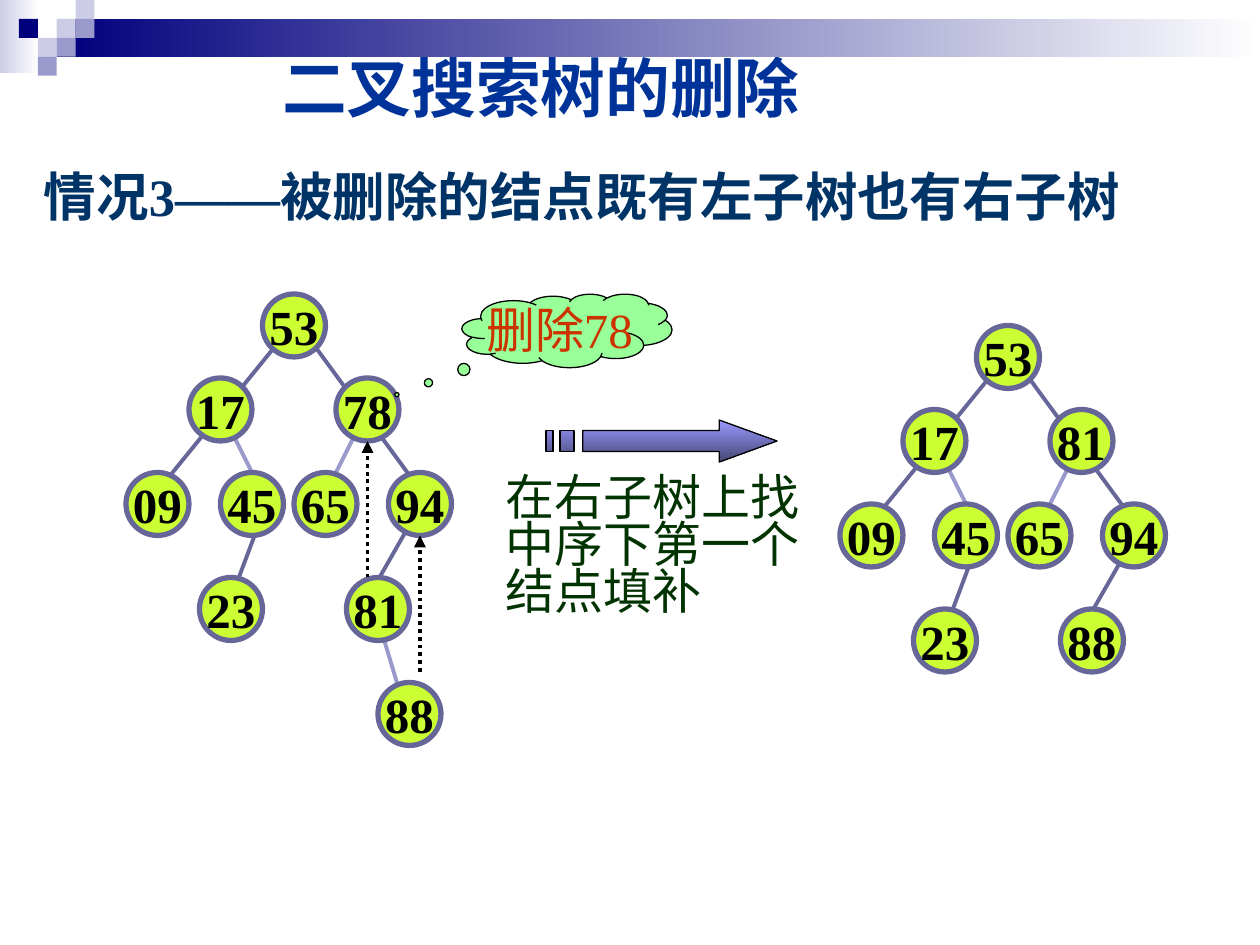
from lxml.etree import SubElement
from pptx import Presentation
from pptx.dml.color import RGBColor
from pptx.enum.dml import MSO_LINE
from pptx.enum.shapes import MSO_CONNECTOR, MSO_SHAPE
from pptx.enum.text import MSO_ANCHOR, MSO_AUTO_SIZE, PP_ALIGN
from pptx.oxml.ns import qn
from pptx.util import Pt

FONT = "Times New Roman"
COLORS = {
    "navy": "00007D", "pale": "CCCCE6", "lilac": "9999CC", "white": "FFFFFF",
    "title": "003399", "heading": "003366", "edge": "666699", "node": "CCFF33",
    "cloud": "99FF99", "deletion": "CC3300", "advice": "003300",
    "arrow_top": "9999FF", "arrow_base": "474776", "black": "000000",
}
NODE_SIZE = 36

# Node corners and edge ends, in points from the corner of a tree's box.
SHARED_SPOTS = {"53": (78, 0), "17": (36, 48), "09": (0, 102), "45": (54, 102),
                "65": (96, 102), "94": (150, 102), "23": (42, 162)}
BEFORE_SPOTS = SHARED_SPOTS | {"78": (120, 48), "81": (126, 162), "88": (144, 222)}
AFTER_SPOTS = SHARED_SPOTS | {"81": (120, 48), "88": (126, 162)}
SHARED_EDGES = [
    ((132, 78), (114, 114), "lilac"), ((78, 126), (60, 174), "edge"),
    ((60, 78), (78, 114), "lilac"), ((90, 24), (12, 120), "edge"),
    ((162, 132), (138, 174), "edge"), ((108, 30), (174, 120), "edge"),
]
BEFORE_EDGES = SHARED_EDGES + [((144, 186), (162, 246), "lilac")]


def rgb(name):
    return RGBColor.from_string(COLORS[name])


def paint_gradient(shape, start, end, angle):
    shape.fill.gradient()
    shape.fill.gradient_angle = angle
    for stop, color in zip(shape.fill.gradient_stops, (start, end)):
        stop.color.rgb = rgb(color)


def add_preset(slide, preset, left, top, width, height, fill=None, line=None, weight=0.75):
    shape = slide.shapes.add_shape(preset, Pt(left), Pt(top), Pt(width), Pt(height))
    shape.shadow.inherit = False
    if fill:
        shape.fill.solid()
        shape.fill.fore_color.rgb = rgb(fill)
    if line:
        shape.line.color.rgb = rgb(line)
        shape.line.width = Pt(weight)
    else:
        shape.line.fill.background()
    return shape


def write(shape, text, size, color, bold=False, align=PP_ALIGN.LEFT,
          anchor=MSO_ANCHOR.TOP, wrap=True):
    frame = shape.text_frame
    frame.word_wrap = wrap
    frame.vertical_anchor = anchor
    paragraph = frame.paragraphs[0]
    paragraph.alignment = align
    run = paragraph.add_run()
    run.text = text
    run.font.name = FONT
    run.font.size = Pt(size)
    run.font.bold = bold
    run.font.color.rgb = rgb(color)
    return paragraph


def write_centred(shape, text, color, bold=False):
    write(shape, text, 28, color, bold, PP_ALIGN.CENTER, MSO_ANCHOR.MIDDLE, wrap=False)


def add_text(slide, left, top, width, height, text, size, color, bold=False):
    box = slide.shapes.add_textbox(Pt(left), Pt(top), Pt(width), Pt(height))
    paragraph = write(box, text, size, color, bold)
    box.text_frame.auto_size = MSO_AUTO_SIZE.SHAPE_TO_FIT_TEXT
    return paragraph


def add_line(slide, start, end, color):
    line = slide.shapes.add_connector(MSO_CONNECTOR.STRAIGHT, *map(Pt, start + end))
    line.line.color.rgb = rgb(color)
    line.line.width = Pt(2.25)
    SubElement(line._element.spPr, qn("a:effectLst"))
    return line


def add_banner(slide, left, top, width):
    """Gradient band with a checkered corner, on a square grid."""
    unit = 10.8
    corner = add_preset(slide, MSO_SHAPE.RECTANGLE, left, top, 22, 42)
    paint_gradient(corner, "pale", "white", 0)
    band_left = left + 3 * unit
    band = add_preset(slide, MSO_SHAPE.RECTANGLE, band_left, top + unit,
                      left + width - band_left, 2 * unit)
    paint_gradient(band, "navy", "white", 0)
    for column, row, color in [(3, 1, "pale"), (4, 0, "pale"), (4, 1, "lilac"),
                               (2, 2, "pale"), (1, 1, "navy"), (3, 2, "lilac"),
                               (2, 3, "lilac")]:
        add_preset(slide, MSO_SHAPE.RECTANGLE, left + column * unit,
                   top + row * unit, unit, unit, color)


def place_title(slide, left, top, width, height):
    title = slide.shapes.title
    title.left, title.top, title.width, title.height = map(Pt, (left, top, width, height))
    paragraph = write(title, "二叉搜索树的删除", 37, "title", True, anchor=MSO_ANCHOR.MIDDLE)
    paragraph.line_spacing = 0.9
    title.text_frame.auto_size = MSO_AUTO_SIZE.NONE


def add_tree(slide, left, top, spots, edges):
    for (x1, y1), (x2, y2), color in edges:
        add_line(slide, (left + x1, top + y1), (left + x2, top + y2), color)
    for key, (x, y) in spots.items():
        node = add_preset(slide, MSO_SHAPE.OVAL, left + x, top + y,
                          NODE_SIZE, NODE_SIZE, "node", "edge", 3)
        write_centred(node, key, "black", True)


def add_moves(slide, left, top, targets):
    """Dotted arrows rising to the bottom of each target node."""
    for key in targets:
        x, y = BEFORE_SPOTS[key]
        tip = (left + x + NODE_SIZE / 2, top + y + NODE_SIZE)
        move = add_line(slide, (tip[0], tip[1] + 78), tip, "black")
        move.line.dash_style = MSO_LINE.ROUND_DOT
        SubElement(move.line._get_or_add_ln(), qn("a:tailEnd"), type="triangle")


def add_deletion_cloud(slide, left, top, width, height):
    cloud = add_preset(slide, MSO_SHAPE.CLOUD_CALLOUT, left, top, width, height,
                       "cloud", "black")
    cloud.adjustments[0], cloud.adjustments[1] = -0.81, 0.87
    write_centred(cloud, "删除78", "deletion")


def add_striped_arrow(slide, left, top):
    """Right arrow, 132 by 24 points, with two bars behind its shaft."""
    builder = slide.shapes.build_freeform(99, 0, scale=Pt(1))
    builder.add_line_segments([(99, 6), (21, 6), (21, 18), (99, 18), (99, 24), (132, 12)])
    for start, end in [(8, 16), (0, 4)]:
        builder.move_to(start, 6)
        builder.add_line_segments([(start, 18), (end, 18), (end, 6)])
    arrow = builder.convert_to_shape(Pt(left), Pt(top))
    arrow.shadow.inherit = False
    paint_gradient(arrow, "arrow_top", "arrow_base", 270)
    arrow.line.color.rgb = rgb("black")
    arrow.line.width = Pt(0.75)


def main():
    deck = Presentation()
    deck.slide_width, deck.slide_height = Pt(720), Pt(540)
    slide = deck.slides.add_slide(deck.slide_layouts[5])
    add_banner(slide, 0, 0, 720)
    place_title(slide, 154, 25, 386, 54)
    heading = add_text(slide, 18, 90, 682.5, 43, "情况3——被删除的结点既有左子树也有右子树",
                       30, "heading", True)
    heading.space_before = Pt(18.7)
    add_tree(slide, 72, 168, BEFORE_SPOTS, BEFORE_EDGES)
    add_deletion_cloud(slide, 264, 168, 120, 42)
    add_striped_arrow(slide, 312, 240)
    advice = add_text(slide, 282, 269.5, 186, 88, "在右子树上找中序下第一个结点填补", 28, "advice")
    advice.line_spacing = 0.8
    add_tree(slide, 480, 186, AFTER_SPOTS, SHARED_EDGES)
    add_moves(slide, 72, 168, ["78", "94"])
    deck.save("out.pptx")


if __name__ == "__main__":
    main()
